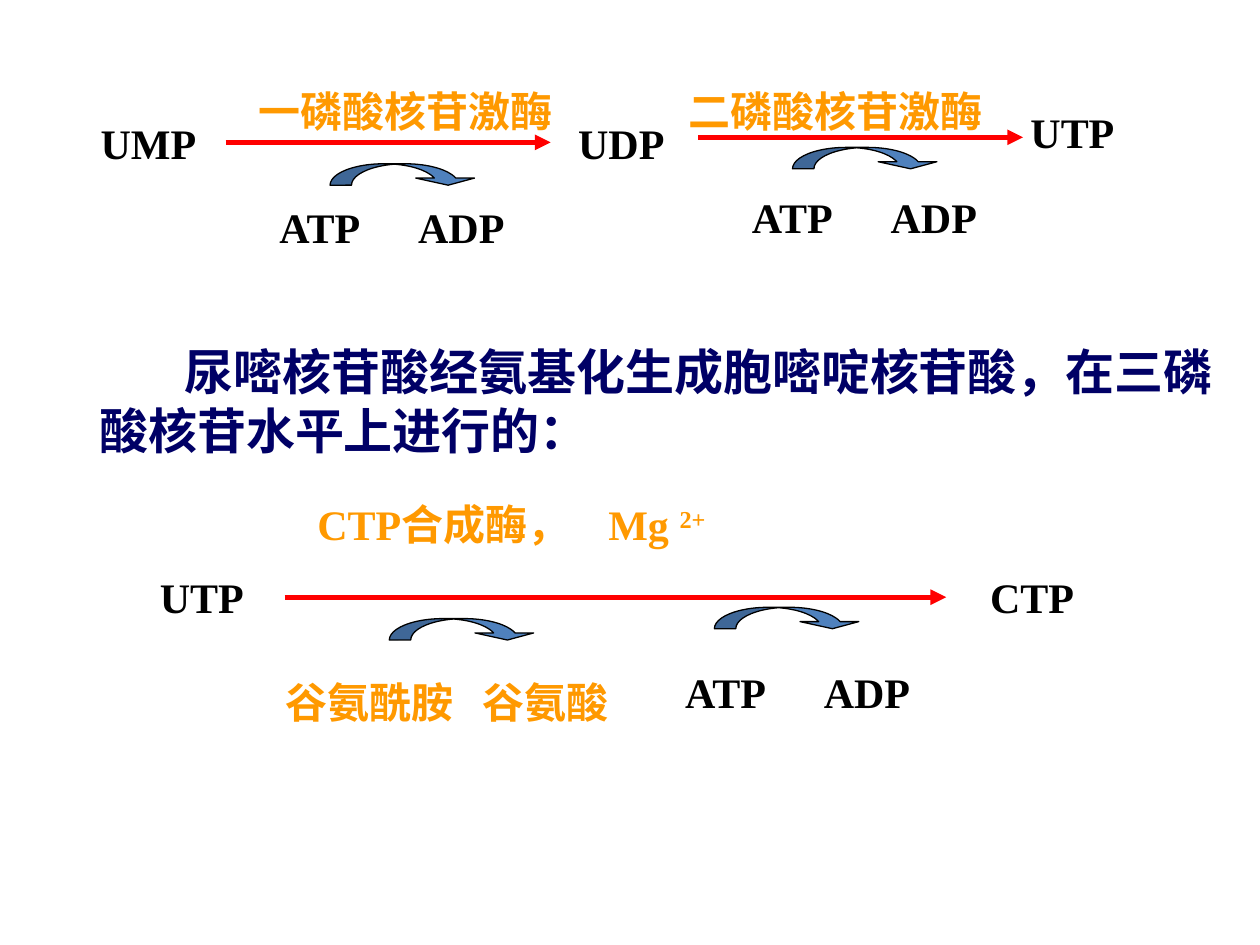
from dataclasses import dataclass

from lxml import etree
from pptx import Presentation
from pptx.dml.color import RGBColor
from pptx.enum import shapes, text
from pptx.oxml import ns
from pptx.util import Inches, Pt


@dataclass(frozen=True)
class Theme:
    black: str = "000000"
    navy: str = "000066"
    orange: str = "FF9900"
    red: str = "FF0000"
    blue: str = "4F81BD"
    label_size: int = 24
    body_size: int = 28
    label_font: str = "Times New Roman"
    body_font: str = "Calibri"


theme = Theme()


def add_text(parent, content, left, top, width, height=0.5, color=theme.black,
             size=theme.label_size, font=theme.label_font, wrap=True,
             margin=0, indent=0, tab=None, superscript=""):
    """Add a one-paragraph text box; superscript follows the content."""
    box = parent.add_textbox(Inches(left), Inches(top), Inches(width), Inches(height))
    frame = box.text_frame
    frame.word_wrap = wrap
    frame.auto_size = text.MSO_AUTO_SIZE.NONE
    paragraph = frame.paragraphs[0]
    properties = paragraph._p.get_or_add_pPr()
    if margin or indent:
        properties.set("marL", str(Inches(margin)))
        properties.set("indent", str(Inches(indent)))
    if tab:
        tabs = etree.SubElement(properties, ns.qn("a:tabLst"))
        etree.SubElement(tabs, ns.qn("a:tab"), pos=str(Inches(tab)), algn="l")
    for part in filter(None, (content, superscript)):
        run = paragraph.add_run()
        run.text = part
        run.font.name = font
        run.font.size = Pt(size)
        run.font.bold = True
        run.font.color.rgb = RGBColor.from_string(color)
    if superscript:
        run._r.get_or_add_rPr().set("baseline", "30000")


def add_reaction(parent, start, end, y, swaps):
    """Add a red reaction arrow and the curved arrows at the given places."""
    arrow = parent.add_connector(shapes.MSO_CONNECTOR.STRAIGHT,
                                 Inches(start), Inches(y), Inches(end), Inches(y))
    arrow.line.color.rgb = RGBColor.from_string(theme.red)
    arrow.line.width = Pt(3)
    etree.SubElement(arrow.line._get_or_add_ln(), ns.qn("a:tailEnd"), type="triangle")
    etree.SubElement(arrow._element.spPr, ns.qn("a:effectLst"))
    for left, top in swaps:
        shape = parent.add_shape(shapes.MSO_SHAPE.CURVED_DOWN_ARROW,
                                 Inches(left), Inches(top), Inches(1.17), Inches(0.17))
        for index, value in enumerate((1.37, 2.74, 0.33)):
            shape.adjustments[index] = value
        shape.shadow.inherit = False
        shape.fill.solid()
        shape.fill.fore_color.rgb = RGBColor.from_string(theme.blue)
        shape.line.color.rgb = RGBColor.from_string(theme.black)
        shape.line.width = Pt(0.75)


presentation = Presentation()
presentation.slide_width = Inches(10)
presentation.slide_height = Inches(7.5)
slide = presentation.slides.add_slide(presentation.slide_layouts[6])

add_text(slide.shapes, "尿嘧核苷酸经氨基化生成胞嘧啶核苷酸，在三磷酸核苷水平上进行的：",
         0.31, 2.66, 9.45, 1.17, color=theme.navy, size=theme.body_size,
         font=theme.body_font, margin=0.38, indent=0.68)

# Amination: UTP to CTP
amination = slide.shapes.add_group_shape().shapes
add_reaction(amination, 2.26, 7.51, 4.74, [(3.09, 4.91), (5.67, 4.82)])
add_text(amination, "CTP合成酶，\tMg ", 2.42, 3.91, 4.08, color=theme.orange,
         tab=2.31, superscript="2+")
add_text(amination, "谷氨酰胺\t谷氨酸", 2.17, 5.32, 3.17, color=theme.orange, tab=1.56)

# Phosphorylation: UMP to UDP to UTP
phosphorylation = slide.shapes.add_group_shape().shapes
add_reaction(phosphorylation, 1.79, 4.37, 1.13, [(2.62, 1.3)])
add_reaction(phosphorylation, 5.54, 8.12, 1.09, [(6.29, 1.17)])
for enzyme, left in (("一磷酸核苷激酶", 1.95), ("二磷酸核苷激酶", 5.37)):
    add_text(phosphorylation, enzyme, left, 0.63, 2.67, color=theme.orange)

for group, nucleotide, left, top, width in (
    (amination, "UTP", 1.17, 4.49, 0.86),
    (amination, "CTP", 7.76, 4.49, 0.86),
    (phosphorylation, "UMP", 0.7, 0.88, 0.96),
    (phosphorylation, "UDP", 4.49, 0.88, 0.88),
    (phosphorylation, "UTP", 8.08, 0.8, 0.86),
):
    add_text(group, nucleotide, left, top, width, wrap=False)

for group, left, top in (
    (amination, 5.34, 5.24),
    (phosphorylation, 2.12, 1.55),
    (phosphorylation, 5.87, 1.47),
):
    add_text(group, "ATP\tADP", left, top, 2.33, tab=1.1)

presentation.save("out.pptx")
